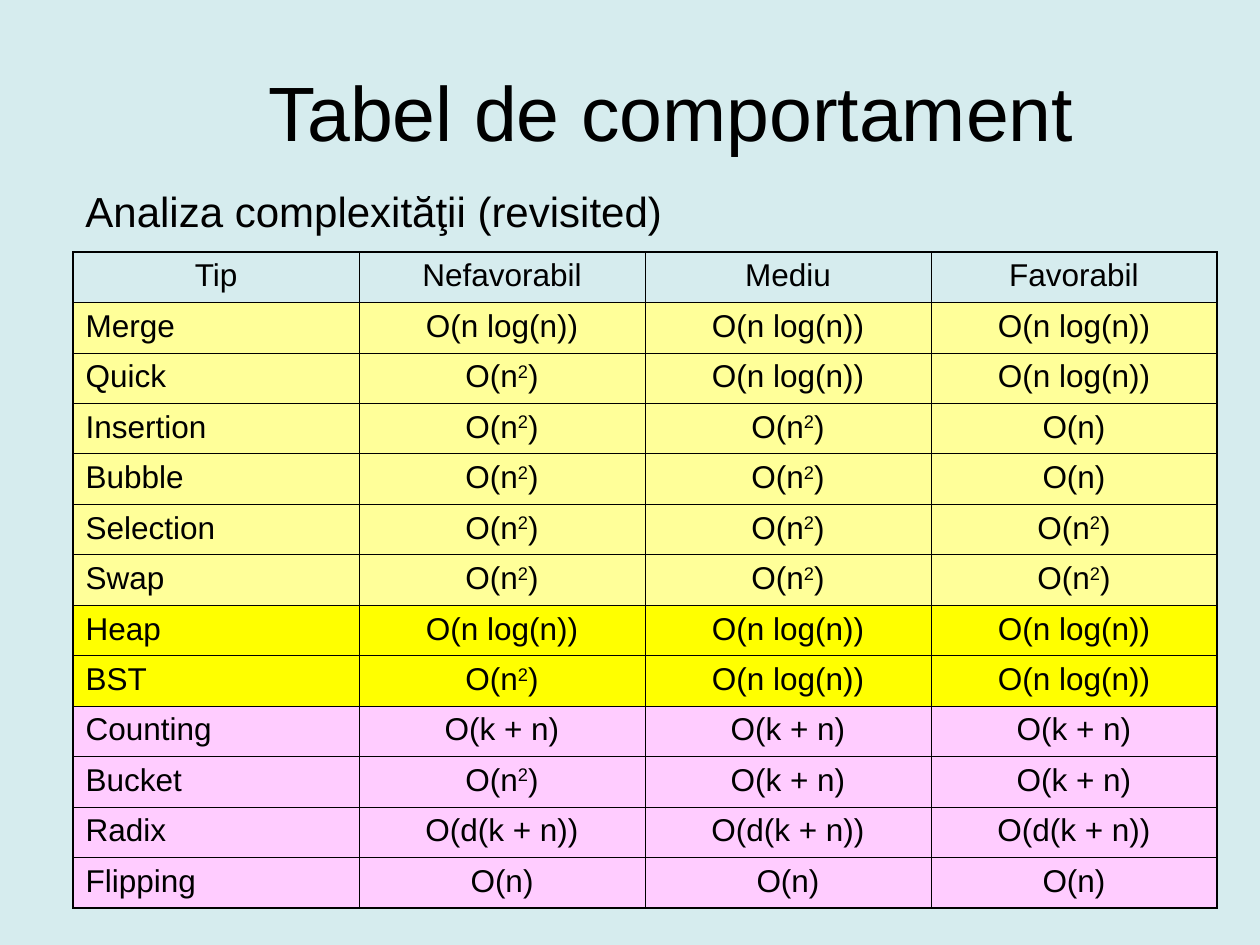
import lxml.etree
import pptx
import pptx.dml.color
import pptx.enum.text
import pptx.oxml.ns
import pptx.util

Inches = pptx.util.Inches
ALIGN = pptx.enum.text.PP_ALIGN
ANCHOR = pptx.enum.text.MSO_ANCHOR
COLORS = {
    "background": "D6ECEE",
    "text": "000000",
    "border": "000000",
    "comparison": "FFFF99",
    "tree": "FFFF00",
    "distribution": "FFCCFF",
}
THIN, THICK = 0.45, 1.08

N_LOG_N, N_SQUARED, LINEAR = "O(n log(n))", "O(n^2)", "O(n)"
K_PLUS_N, D_K_PLUS_N = "O(k + n)", "O(d(k + n))"
ROWS = [
    (None, "Tip", "Nefavorabil", "Mediu", "Favorabil"),
    ("comparison", "Merge", N_LOG_N, N_LOG_N, N_LOG_N),
    ("comparison", "Quick", N_SQUARED, N_LOG_N, N_LOG_N),
    ("comparison", "Insertion", N_SQUARED, N_SQUARED, LINEAR),
    ("comparison", "Bubble", N_SQUARED, N_SQUARED, LINEAR),
    ("comparison", "Selection", N_SQUARED, N_SQUARED, N_SQUARED),
    ("comparison", "Swap", N_SQUARED, N_SQUARED, N_SQUARED),
    ("tree", "Heap", N_LOG_N, N_LOG_N, N_LOG_N),
    ("tree", "BST", N_SQUARED, N_LOG_N, N_LOG_N),
    ("distribution", "Counting", K_PLUS_N, K_PLUS_N, K_PLUS_N),
    ("distribution", "Bucket", N_SQUARED, K_PLUS_N, K_PLUS_N),
    ("distribution", "Radix", D_K_PLUS_N, D_K_PLUS_N, D_K_PLUS_N),
    ("distribution", "Flipping", LINEAR, LINEAR, LINEAR),
]


def write_text(paragraph, text, size, alignment):
    paragraph.alignment = alignment
    paragraph.font.name = "Arial"
    paragraph.font.size = pptx.util.Pt(size)
    paragraph.font.color.rgb = pptx.dml.color.RGBColor.from_string(COLORS["text"])
    before, power, after = text.partition("^2")
    paragraph.add_run().text = before
    if power:
        exponent = paragraph.add_run()
        exponent.text = "2"
        exponent._r.get_or_add_rPr().set("baseline", "30000")
        paragraph.add_run().text = after


def add_border(cell, side, width):
    qn = pptx.oxml.ns.qn
    properties = cell._tc.get_or_add_tcPr()
    line = lxml.etree.SubElement(properties, qn(f"a:ln{side}"), w=str(pptx.util.Pt(width)))
    fill = lxml.etree.SubElement(line, qn("a:solidFill"))
    lxml.etree.SubElement(fill, qn("a:srgbClr"), val=COLORS["border"])


presentation = pptx.Presentation()
presentation.slide_width = Inches(10)
presentation.slide_height = Inches(7.5)
slide = presentation.slides.add_slide(presentation.slide_layouts[6])
slide.background.fill.solid()
slide.background.fill.fore_color.rgb = pptx.dml.color.RGBColor.from_string(COLORS["background"])

for text, left, top, width, height, size, alignment, anchor in [
    ("Analiza complexităţii (revisited)", 0.58, 1.42, 8.67, 0.9, 24, ALIGN.LEFT, ANCHOR.TOP),
    ("Tabel de comportament", 0.83, 0.25, 9, 1.25, 44, ALIGN.CENTER, ANCHOR.MIDDLE),
]:
    shape = slide.shapes.add_textbox(Inches(left), Inches(top), Inches(width), Inches(height))
    shape.text_frame.word_wrap = True
    shape.text_frame.vertical_anchor = anchor
    write_text(shape.text_frame.paragraphs[0], text, size, alignment)

last_row, last_column = len(ROWS) - 1, 3
table = slide.shapes.add_table(
    len(ROWS), 4, Inches(0.58), Inches(2), Inches(9.08), Inches(5.2)
).table
table.first_row = False
table.horz_banding = False
for row in table.rows:
    row.height = Inches(0.4)

for row_index, (group, *texts) in enumerate(ROWS):
    for column_index, text in enumerate(texts):
        cell = table.cell(row_index, column_index)
        centered = row_index == 0 or column_index > 0
        write_text(cell.text_frame.paragraphs[0], text, 18, ALIGN.CENTER if centered else ALIGN.LEFT)
        for side, outer in [
            ("L", column_index == 0),
            ("R", column_index == last_column),
            ("T", row_index == 0),
            ("B", row_index == last_row),
        ]:
            add_border(cell, side, THICK if outer else THIN)
        if group:
            cell.fill.solid()
            cell.fill.fore_color.rgb = pptx.dml.color.RGBColor.from_string(COLORS[group])
        else:
            cell.fill.background()

presentation.save("out.pptx")
